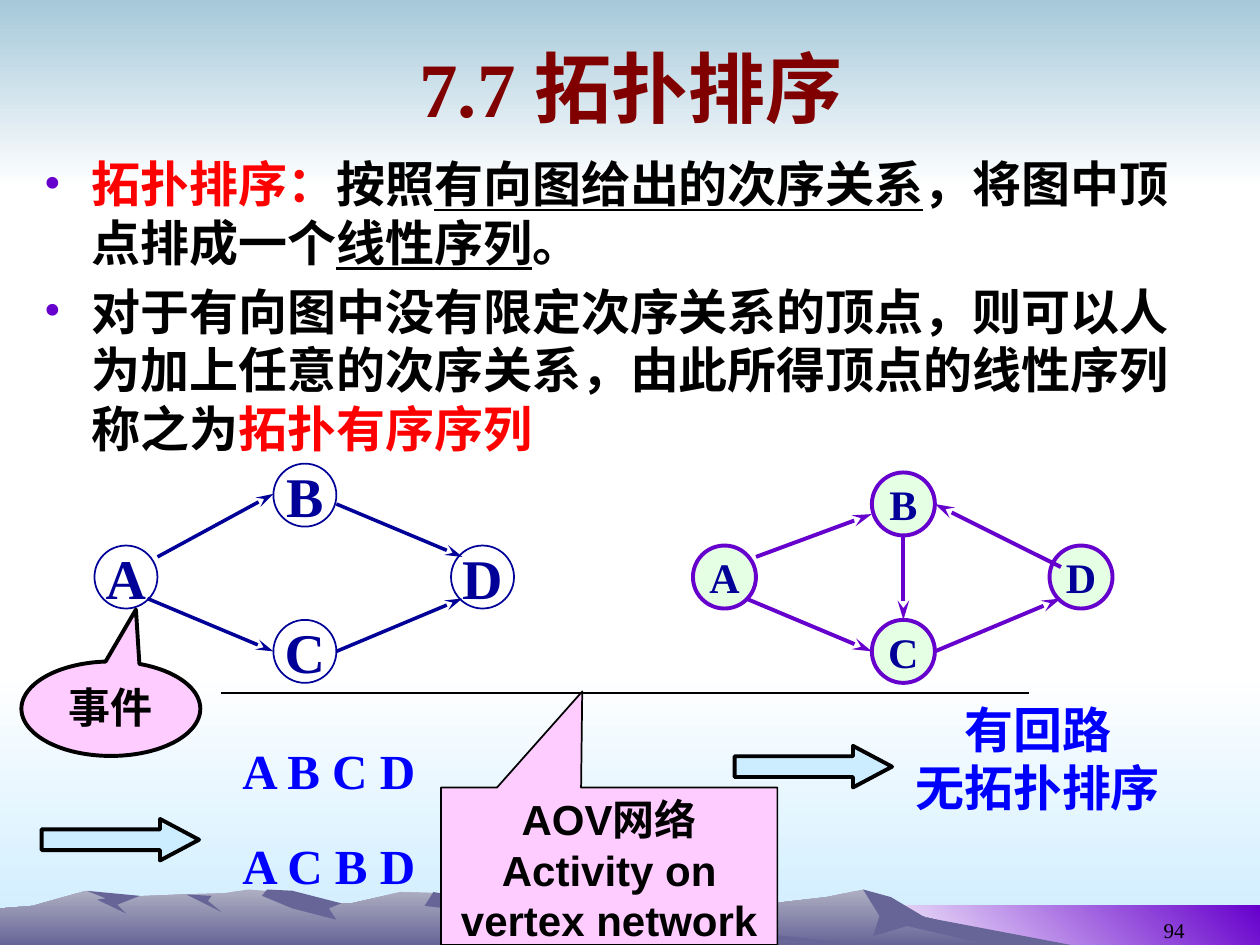
from dataclasses import dataclass

from lxml.etree import SubElement
from pptx import Presentation
from pptx.dml.color import RGBColor
from pptx.enum.shapes import MSO_CONNECTOR, MSO_SHAPE as Shape
from pptx.enum.text import MSO_ANCHOR as Anchor, PP_ALIGN as Align
from pptx.oxml.ns import qn
from pptx.util import Inches, Pt


@dataclass(frozen=True)
class Theme:
    serif: str = "Times New Roman"
    sans: str = "Arial"
    black: str = "000000"
    white: str = "FFFFFF"
    title: str = "800000"
    key: str = "FF0000"
    answer: str = "0000FF"
    navy: str = "000099"
    purple: str = "6600CC"
    mint: str = "CCFFCC"
    pink: str = "FFCCFF"
    ice: str = "CCECFF"
    sky: str = "A6C9DA"
    rock: str = "676597"
    rock_light: str = "AEAEC2"
    title_size: int = 44
    body_size: int = 28
    order_node_size: int = 32
    label_size: int = 24
    number_size: int = 12
    thin: float = 1
    medium: float = 2
    thick: float = 2.25


T = Theme()
SLIDE_WIDTH, SLIDE_HEIGHT = 10, 7.5

# Mountains, in hundredths of an inch: crest lines and the shaded faces below them
GRID = Inches(0.01)
RIGHT_CREST = [(258, 750), (327, 731), (394, 719), (450, 709), (471, 706), (486, 713), (526, 713),
               (536, 721), (566, 725), (613, 717), (656, 712), (685, 706), (723, 725), (820, 750)]
LEFT_CREST = [(0, 721), (26, 719), (68, 707), (94, 712), (143, 710), (178, 709), (197, 706),
              (223, 708), (236, 717), (279, 717), (318, 708), (354, 709), (432, 732), (690, 750)]
RIGHT_FACES = [
    [(685, 706), (698, 727), (693, 743), (720, 735), (785, 750), (850, 750), (734, 728), (707, 712)],
    [(471, 706), (468, 712), (473, 721), (465, 740), (479, 726), (497, 712)],
    [(529, 714), (526, 718), (580, 738), (576, 726), (592, 721), (542, 719)]]
LEFT_FACES = [
    [(212, 706), (208, 711), (232, 721), (267, 730), (261, 721), (271, 717), (232, 707)],
    [(344, 708), (337, 719), (363, 722), (374, 732), (407, 739), (472, 739), (690, 750), (427, 722)],
    [(148, 710), (168, 711), (165, 715), (176, 724)],
    [(69, 707), (84, 713), (77, 714), (100, 725), (93, 718), (111, 711)]]

# Graph layout: node corners and edge ends, measured from the graph's left side
NODE_SIZE = 0.5
NODE_X = {"A": 0, "B": 1.42, "C": 1.42, "D": 2.83}
NODE_Y = {"A": 4.33, "C": 4.92, "D": 4.33}
A_TO_C = (0.42, 4.75), (1.42, 5.17)
C_TO_D = (1.92, 5.17), (2.92, 4.75)
ACYCLIC_EDGES = [((0.5, 4.42), (1.42, 3.92)), A_TO_C, ((1.92, 4), (2.92, 4.42)), C_TO_D]
B_TO_C = (1.67, 4.25), (1.67, 4.92)
D_TO_B = (2.92, 4.5), (1.92, 4)
CYCLIC_EDGES = [((0.5, 4.42), (1.42, 4.08)), A_TO_C, C_TO_D, D_TO_B, B_TO_C]


def rgb(color):
    return RGBColor.from_string(color)


def paint(shape, fill=None, line=None, width=T.thin, angle=270):
    """A pair of colours as fill makes a gradient; None leaves the part empty."""
    shape.shadow.inherit = False
    if isinstance(fill, tuple):
        shape.fill.gradient()
        shape.fill.gradient_angle = angle
        for stop, color in zip(shape.fill.gradient_stops, fill):
            stop.color.rgb = rgb(color)
    elif fill:
        shape.fill.solid()
        shape.fill.fore_color.rgb = rgb(fill)
    else:
        shape.fill.background()
    if line:
        shape.line.color.rgb = rgb(line)
        shape.line.width = Pt(width)
    else:
        shape.line.fill.background()


def add_preset(slide, kind, box, adjust=(), **look):
    shape = slide.shapes.add_shape(kind, *map(Inches, box))
    for i, value in enumerate(adjust):
        shape.adjustments[i] = value
    paint(shape, **look)
    return shape


def add_outline(slide, points, fill):
    builder = slide.shapes.build_freeform(*points[0], scale=GRID)
    builder.add_line_segments(points[1:], close=True)
    paint(builder.convert_to_shape(), fill)


def add_line(slide, start, end, color, width, arrow=False):
    line = slide.shapes.add_connector(MSO_CONNECTOR.STRAIGHT, *map(Inches, start + end))
    line.line.color.rgb = rgb(color)
    line.line.width = Pt(width)
    outline = line._element.spPr.find(qn("a:ln"))
    if arrow:
        SubElement(outline, qn("a:tailEnd"), type="stealth", w="med", len="lg")
    SubElement(line._element.spPr, qn("a:effectLst"))


def add_run(paragraph, text, size, color, font=T.serif, bold=True, underline=None):
    run = paragraph.add_run()
    run.text = text
    run.font.name, run.font.size = font, Pt(size)
    run.font.bold, run.font.underline = bold, underline
    run.font.color.rgb = rgb(color)


def write(shape, lines, size, color, align=Align.CENTER, anchor=Anchor.TOP, wrap=True, **style):
    frame = shape.text_frame
    frame.word_wrap, frame.vertical_anchor = wrap, anchor
    for i, text in enumerate(lines):
        paragraph = frame.add_paragraph() if i else frame.paragraphs[0]
        paragraph.alignment = align
        add_run(paragraph, text, size, color, **style)


def add_label(slide, box, lines, size, color, **style):
    write(slide.shapes.add_textbox(*map(Inches, box)), lines, size, color, **style)


def set_bullet(paragraph, indent=0.38):
    props = paragraph._p.get_or_add_pPr()
    props.set("marL", str(Inches(indent)))
    props.set("indent", str(-Inches(indent)))
    SubElement(SubElement(props, qn("a:buClr")), qn("a:srgbClr"), val=T.purple)
    SubElement(props, qn("a:buFont"), typeface=T.serif)
    SubElement(props, qn("a:buChar"), char="•")


def add_bullets(slide, box, bullets):
    frame = slide.shapes.add_textbox(*map(Inches, box)).text_frame
    frame.word_wrap = True
    for i, pieces in enumerate(bullets):
        paragraph = frame.add_paragraph() if i else frame.paragraphs[0]
        set_bullet(paragraph)
        paragraph.font.size = Pt(T.body_size)
        if i:
            paragraph.space_before = Pt(0.2 * T.body_size)
        for text, color, underline in pieces:
            add_run(paragraph, text, T.body_size, color, underline=underline)


def add_graph(slide, left, b_top, edges, size, color, node_line, edge_line, fill=None):
    tops = {**NODE_Y, "B": b_top}
    for name, x in NODE_X.items():
        node = add_preset(slide, Shape.OVAL, (left + x, tops[name], NODE_SIZE, NODE_SIZE),
                          fill=fill, line=color, width=node_line)
        if fill:  # half transparent
            tint = node._element.spPr.find(qn("a:solidFill"))[0]
            SubElement(tint, qn("a:alpha"), val="50000")
        write(node, [name], size, T.navy, anchor=Anchor.MIDDLE, wrap=False)
    for (x1, y1), (x2, y2) in edges:
        add_line(slide, (left + x1, y1), (left + x2, y2), color, edge_line, arrow=True)


def add_result_arrow(slide, left, top):
    add_preset(slide, Shape.RIGHT_ARROW, (left, top, 1.25, 0.33), (0.5, 0.94),
               fill=T.ice, line=T.black, width=T.thick)


def add_callout(slide, kind, box, tip, width, lines):
    callout = add_preset(slide, kind, box, tip, fill=T.pink, line=T.black, width=width)
    write(callout, lines, T.label_size, T.black, font=T.sans)


def add_background(slide):
    bands = [((0, 5.33, SLIDE_WIDTH, 2.17), (T.white, T.ice), 270),
             ((0, 0, SLIDE_WIDTH, 1.5), (T.sky, T.white), 270),
             ((6.83, 7.19, 3.17, 0.31), (T.white, T.purple), 45)]
    for box, colors, angle in bands:
        add_preset(slide, Shape.RECTANGLE, box, fill=colors, angle=angle)
    floor = int(SLIDE_HEIGHT * 100)
    for crest, faces in [(RIGHT_CREST, RIGHT_FACES), (LEFT_CREST, LEFT_FACES)]:
        first_x = crest[0][0]
        add_outline(slide, crest + [(first_x, floor)], (T.rock_light, T.rock))
        for face in faces:
            add_outline(slide, face, T.rock)


def main():
    deck = Presentation()
    deck.slide_width, deck.slide_height = Inches(SLIDE_WIDTH), Inches(SLIDE_HEIGHT)
    slide = deck.slides.add_slide(deck.slide_layouts[6])
    add_background(slide)

    # Page number, title and definitions
    add_label(slide, (7.17, 7.03, 2.33, 0.5), ["94"], T.number_size, T.black,
              align=Align.RIGHT, anchor=Anchor.BOTTOM, bold=False)
    add_label(slide, (0.51, 0.13, 9, 1.12), ["7.7 拓扑排序"], T.title_size, T.title,
              anchor=Anchor.MIDDLE)
    add_bullets(slide, (0.25, 1.17, 9.45, 5.67), [
        [("拓扑排序：", T.key, None), ("按照", T.black, None),
         ("有向图给出的次序关系", T.black, True), ("，将图中顶点排成一个", T.black, None),
         ("线性序列", T.black, True), ("。", T.black, None)],
        [("对于有向图中没有限定次序关系的顶点，则可以人为加上任意的次序关系，"
          "由此所得顶点的线性序列称之为", T.black, None), ("拓扑有序序列", T.key, None)]])

    # Graph without a cycle, and its two orders
    add_graph(slide, 0.75, 3.68, ACYCLIC_EDGES, T.order_node_size, T.navy, T.thin, T.medium)
    for top, order in [(5.83, "A B C D"), (6.58, "A C B D")]:
        add_label(slide, (1.81, top, 1.6, 0.57), [order], T.body_size, T.answer, wrap=False)
    add_result_arrow(slide, 0.33, 6.5)

    # Graph with a cycle, and its verdict
    add_graph(slide, 5.5, 3.75, CYCLIC_EDGES, T.label_size, T.purple, T.thick, T.thick, fill=T.mint)
    add_result_arrow(slide, 5.83, 5.92)
    add_label(slide, (7.16, 5.5, 2.15, 1.03), ["有回路", "无拓扑排序"], T.body_size, T.answer,
              wrap=False)

    # Callouts for the network and its events
    add_callout(slide, Shape.RECTANGULAR_CALLOUT, (3.5, 6.25, 2.67, 1.25), (-0.08, -1.11), T.thin,
                ["AOV网络", "Activity on vertex network"])
    add_line(slide, (1.75, 5.5), (8.17, 5.5), T.black, T.thin)
    add_callout(slide, Shape.OVAL_CALLOUT, (0.17, 5.25, 1.42, 0.75), (0.14, -1.05), T.thick, ["事件"])
    deck.save("out.pptx")


if __name__ == "__main__":
    main()
